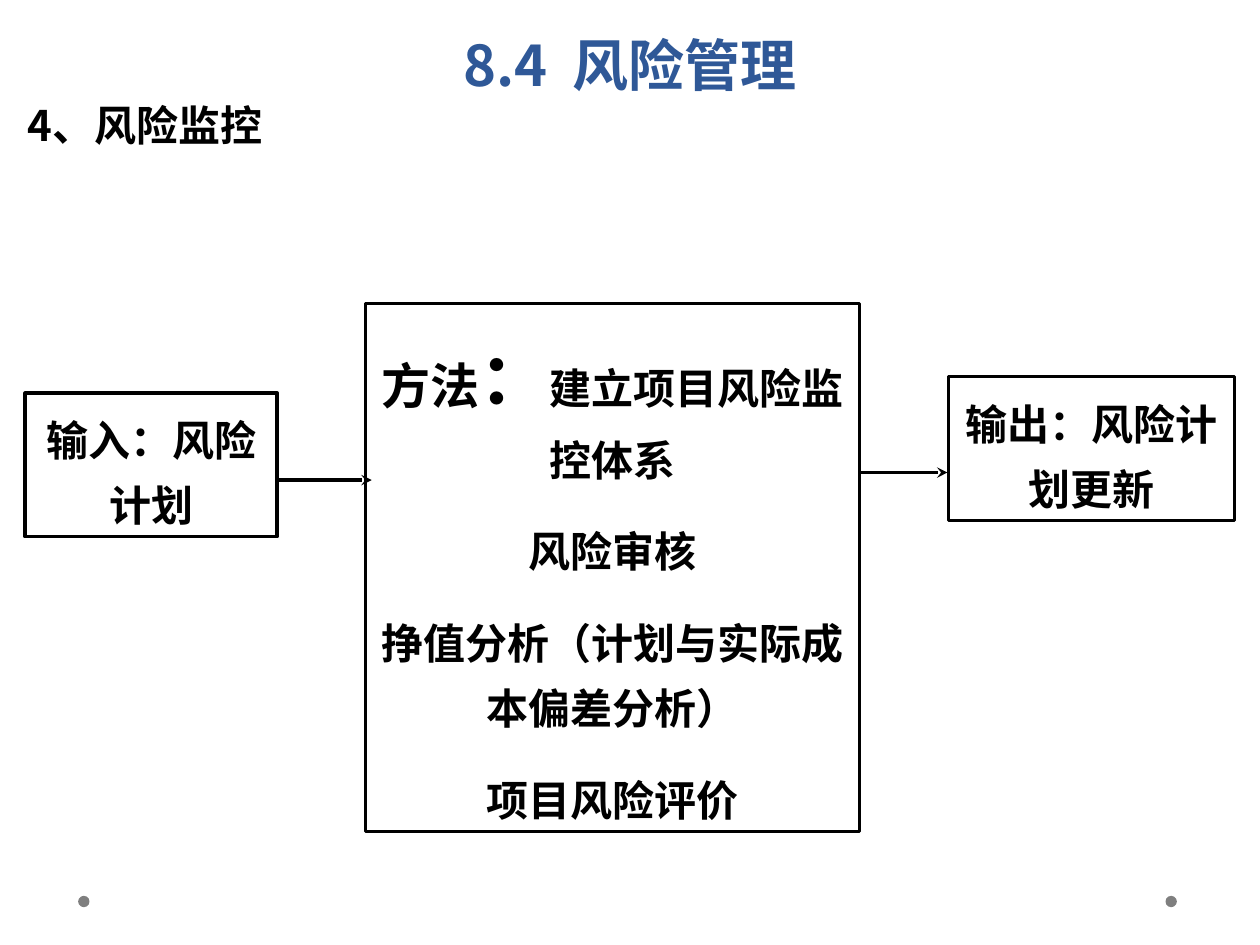
from lxml import etree
from pptx import Presentation
from pptx.dml.color import RGBColor
from pptx.enum import shapes, text
from pptx.oxml.ns import qn
from pptx.util import Inches, Pt

BLACK = RGBColor(0x00, 0x00, 0x00)
BLUE = RGBColor(0x2F, 0x58, 0x97)
GRAY = RGBColor(0x7F, 0x7F, 0x7F)
LATIN, HAN = "Arial Narrow", "Noto Sans CJK SC"
CENTER, LEFT = text.PP_ALIGN.CENTER, text.PP_ALIGN.LEFT
GROW = text.MSO_AUTO_SIZE.SHAPE_TO_FIT_TEXT


def set_all(target, values):
    """Set every attribute named in a dict of format values."""
    for name, value in values.items():
        setattr(target, name, value)


def add_span(para, words, size, font=LATIN, color=BLACK, spacing=0):
    """Add one bold run, with optional letter spacing in points."""
    span = para.add_run()
    span.text = words
    set_all(span.font, {"size": Pt(size), "bold": True, "name": font})
    span.font.color.rgb = color
    properties = span.font._element
    etree.SubElement(properties, qn("a:ea"), typeface=HAN)
    if spacing:
        properties.set("spc", str(spacing * 100))


def prepare_frame(box, autofit=GROW):
    """Make the text of a box wrap from the top and return its frame."""
    frame = box.text_frame
    set_all(frame, {"word_wrap": True, "auto_size": autofit,
                    "vertical_anchor": text.MSO_ANCHOR.TOP})
    return frame


def add_title(page, left, top, width, height):
    """Place the centred slide title."""
    box = page.shapes.add_textbox(*map(Inches, (left, top, width, height)))
    para = prepare_frame(box, text.MSO_AUTO_SIZE.NONE).paragraphs[0]
    set_all(para, {"alignment": CENTER, "line_spacing": Pt(58)})
    add_span(para, "8.4", 32, HAN, BLUE)
    add_span(para, " ", 32, HAN, BLUE, spacing=7)
    add_span(para, "风险管理", 32, HAN, BLUE)


def add_heading(page, left, top, width, height):
    """Place the section heading under the title."""
    box = page.shapes.add_textbox(*map(Inches, (left, top, width, height)))
    para = prepare_frame(box).paragraphs[0]
    set_all(para, {"alignment": LEFT, "line_spacing": 1.3})
    add_span(para, "4、风险监控", 24, HAN)


def add_stage(page, left, top, width, height, paragraphs):
    """Place an outlined process box with paragraphs of (words, size) runs."""
    box = page.shapes.add_shape(shapes.MSO_SHAPE.RECTANGLE,
                                *map(Inches, (left, top, width, height)))
    box.shadow.inherit = False
    box.fill.background()
    box.line.color.rgb = BLACK
    box.line.width = Pt(2)
    frame = prepare_frame(box)
    for index, spans in enumerate(paragraphs):
        para = frame.add_paragraph() if index else frame.paragraphs[0]
        set_all(para, {"alignment": CENTER, "line_spacing": 1.3,
                       "space_before": Pt(15 if index else 0)})
        for words, size in spans:
            add_span(para, words, size)


def add_arrow(page, left, top, length):
    """Draw a horizontal arrow with a stealth head on the right."""
    arrow = page.shapes.add_connector(
        shapes.MSO_CONNECTOR.STRAIGHT,
        *map(Inches, (left, top, left + length, top)))
    arrow.line.color.rgb = BLACK
    arrow.line.width = Pt(2)
    etree.SubElement(arrow.line._get_or_add_ln(), qn("a:tailEnd"), type="stealth")
    etree.SubElement(arrow._element.spPr, qn("a:effectLst"))


def add_flow(page, left, top):
    """Place the input, method and output boxes and the arrows between them."""
    methods = [[("方法", 28), ("：", 40), ("建立项目风险监控体系", 24)]]
    methods += [[(words, 24)] for words in
                ("风险审核", "挣值分析（计划与实际成本偏差分析）", "项目风险评价")]
    add_stage(page, left + 2.7, top, 3.92, 4.19, methods)
    add_stage(page, left, top + 0.71, 2, 1.14, [[("输入：风险计划", 24)]])
    add_stage(page, left + 7.33, top + 0.58, 2.27, 1.14, [[("输出：风险计划更新", 24)]])
    add_arrow(page, left + 2, top + 1.4, 0.75)
    add_arrow(page, left + 6.61, top + 1.34, 0.71)


def add_footer_dots(page, left, top, gap):
    """Place the two gray dots at the foot of the slide."""
    for offset in (0, gap):
        dot = page.shapes.add_shape(
            shapes.MSO_SHAPE.OVAL,
            *map(Inches, (left + offset, top, 0.09, 0.09)))
        dot.shadow.inherit = False
        dot.fill.solid()
        dot.fill.fore_color.rgb = GRAY
        dot.line.fill.background()


def main():
    """Build the slide and save the deck."""
    deck = Presentation()
    set_all(deck, {"slide_width": Inches(10), "slide_height": Inches(7.5)})
    page = deck.slides.add_slide(deck.slide_layouts[6])
    add_footer_dots(page, 0.62, 7.11, 8.63)
    add_flow(page, 0.2, 2.41)
    add_heading(page, 0.12, 0.62, 4.49, 0.62)
    add_title(page, 0.5, -0.08, 9, 0.79)
    deck.save("out.pptx")


if __name__ == "__main__":
    main()
